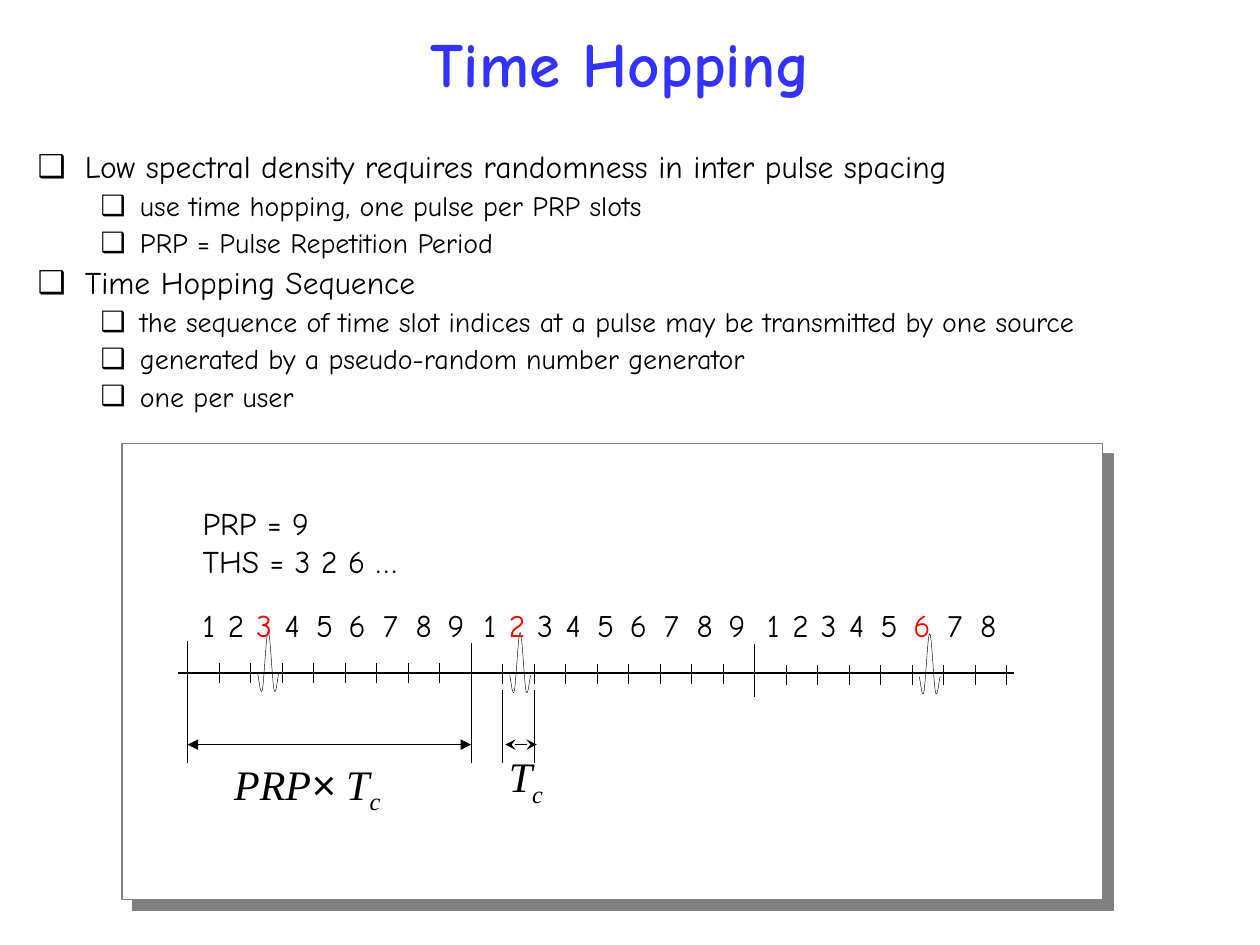
from dataclasses import dataclass

from lxml import etree
from pptx import Presentation
from pptx.dml.color import RGBColor
from pptx.enum.dml import MSO_LINE
from pptx.enum.shapes import MSO_CONNECTOR, MSO_SHAPE
from pptx.enum.text import MSO_ANCHOR, MSO_AUTO_SIZE, PP_ALIGN
from pptx.oxml.ns import qn
from pptx.util import Pt

STRAIGHT = MSO_CONNECTOR.STRAIGHT
RECTANGLE = MSO_SHAPE.RECTANGLE
DOTTED = MSO_LINE.ROUND_DOT
MIDDLE = MSO_ANCHOR.MIDDLE
CENTER = PP_ALIGN.CENTER
LEFT = PP_ALIGN.LEFT
FIT_SHAPE = MSO_AUTO_SIZE.SHAPE_TO_FIT_TEXT


@dataclass(frozen=True)
class Theme:
    ink: str = "000000"
    title: str = "3333FF"
    pulse: str = "FF0000"
    paper: str = "FFFFFF"
    frame: str = "808080"
    body_font: str = "Comic Neue"
    math_font: str = "Times New Roman"
    symbol_font: str = "Arial"
    title_size: float = 36
    math_size: float = 24
    body_size: float = 18
    sub_size: float = 16
    thin: float = 0.75
    hair: float = 0.25


@dataclass(frozen=True)
class Bullet:
    text: str
    level: int = 0


@dataclass(frozen=True)
class BulletStyle:
    size: float
    margin: float
    hang: float
    space_before: float


@dataclass(frozen=True)
class Period:
    """One pulse repetition period on the time axis."""
    start: float
    digits_left: float
    drop: float
    hop: int
    last_digit: int


THEME = Theme()
SLOT = 18
AXIS_Y = 384.5
BULLETS = [
    Bullet("Low spectral density requires randomness in inter pulse spacing"),
    Bullet("use time hopping, one pulse per PRP slots", 1),
    Bullet("PRP = Pulse Repetition Period", 1),
    Bullet("Time Hopping Sequence"),
    Bullet("the sequence of time slot indices at a pulse may be transmitted by one source", 1),
    Bullet("generated by a pseudo-random number generator", 1),
    Bullet("one per user", 1),
]
BULLET_STYLES = [BulletStyle(THEME.body_size, 27, 27, 4.5),
                 BulletStyle(THEME.sub_size, 58.5, 22.5, 4)]
PERIODS = [Period(107.25, 108.7, 0, 3, 9),
           Period(269.25, 269.3, 0.7, 2, 9),
           Period(431.25, 431.3, 1.4, 6, 8)]
DIGIT_OFFSETS = [0, 14.4, 30.6, 46.8, 64.8, 83.5, 103, 121.7, 140]
# Cubic segments of a pulse, relative to its upper left corner
PULSE_CURVES = [
    [(0, 24.5), (0.6, 25.9), (1.5, 37.4), (2.6, 33.8)],
    [(2.6, 33.8), (3.7, 29.5), (4.8, 0), (6, 0)],
    [(6, 0), (7.2, 0), (8.3, 29.5), (9.4, 33.8)],
    [(9.4, 33.8), (10.5, 37.4), (11.4, 25.9), (12, 24.5)],
]


def write_text(paragraph, text: str, *, size: float = THEME.body_size,
               font: str = THEME.body_font, color: str = THEME.ink,
               bold: bool = False, italic: bool = False, subscript: bool = False) -> None:
    for index, line in enumerate(text.split("\n")):
        if index:
            paragraph.add_line_break()
        run = paragraph.add_run()
        run.text = line
        run.font.size, run.font.name = Pt(size), font
        run.font.bold, run.font.italic = bold, italic
        run.font.color.rgb = RGBColor.from_string(color)
        if subscript:
            run.font._element.set("baseline", "-25000")


def add_label(slide, left: float, top: float, width: float, height: float,
              wrap: bool = False):
    frame = slide.shapes.add_textbox(Pt(left), Pt(top), Pt(width), Pt(height)).text_frame
    frame.word_wrap = wrap
    frame.auto_size = FIT_SHAPE
    return frame.paragraphs[0]


def add_line(slide, x1: float, y1: float, x2: float, y2: float, *,
             width: float = THEME.thin, dash=None, arrows: str = "") -> None:
    connector = slide.shapes.add_connector(STRAIGHT, Pt(x1), Pt(y1), Pt(x2), Pt(y2))
    connector.line.color.rgb = RGBColor.from_string(THEME.ink)
    connector.line.width = Pt(width)
    if dash is not None:
        connector.line.dash_style = dash
    if arrows:
        for end in ("a:headEnd", "a:tailEnd"):
            etree.SubElement(connector.line._get_or_add_ln(), qn(end), type=arrows)
    etree.SubElement(connector._element.spPr, qn("a:effectLst"))


def add_bullet(paragraph, bullet: Bullet) -> None:
    style = BULLET_STYLES[bullet.level]
    paragraph.level = bullet.level
    paragraph.line_spacing = 0.9
    paragraph.space_before = Pt(style.space_before)
    properties = paragraph._p.get_or_add_pPr()
    properties.set("marL", str(Pt(style.margin)))
    properties.set("indent", str(-Pt(style.hang)))
    bullet_color = etree.SubElement(properties, qn("a:buClr"))
    etree.SubElement(bullet_color, qn("a:srgbClr"), val=THEME.ink)
    etree.SubElement(properties, qn("a:buFont"), typeface=THEME.symbol_font)
    etree.SubElement(properties, qn("a:buChar"), char="❑")
    write_text(paragraph, bullet.text, size=style.size)


def add_panel(slide) -> None:
    panel = slide.shapes.add_shape(RECTANGLE, Pt(69.8), Pt(253.4), Pt(560.2), Pt(260.6))
    panel.fill.solid()
    panel.fill.fore_color.rgb = RGBColor.from_string(THEME.paper)
    panel.line.color.rgb = RGBColor.from_string(THEME.frame)
    panel.line.width = Pt(THEME.thin)
    panel.shadow.inherit = False
    effects = panel._element.spPr.find(qn("a:effectLst"))
    shadow = etree.SubElement(effects, qn("a:outerShdw"), blurRad="0",
                              dist=str(Pt(8.5)), dir="2700000", algn="ctr", rotWithShape="0")
    etree.SubElement(shadow, qn("a:srgbClr"), val=THEME.frame)


def curve_point(curve: list, t: float) -> tuple:
    weights = ((1 - t) ** 3, 3 * t * (1 - t) ** 2, 3 * t * t * (1 - t), t ** 3)
    return tuple(sum(w * p[axis] for w, p in zip(weights, curve)) for axis in (0, 1))


def add_pulse(slide, left: float, top: float) -> None:
    steps = 10
    points = [curve_point(curve, step / steps)
              for curve in PULSE_CURVES for step in range(1, steps + 1)]
    start, *rest = [(Pt(left + x), Pt(top + y)) for x, y in [PULSE_CURVES[0][0], *points]]
    builder = slide.shapes.build_freeform(*start)
    builder.add_line_segments(rest, close=False)
    pulse = builder.convert_to_shape()
    pulse.fill.background()
    pulse.line.color.rgb = RGBColor.from_string(THEME.ink)
    pulse.line.width = Pt(THEME.hair)
    pulse.shadow.inherit = False


def add_period(slide, period: Period) -> None:
    # Ticks: a tall one at the start, short ones at the slot borders
    for slot in range(9):
        above, below = (5.8, 5.8) if slot else (18, 12.2)
        x, middle = period.start + slot * SLOT, AXIS_Y + period.drop
        add_line(slide, x, middle - above, x, middle + below)
    add_pulse(slide, period.start + (period.hop - 1) * SLOT + 4, 360.7 + period.drop)
    # Slot numbers, with the chosen slot in the pulse colour
    for digit in range(1, period.last_digit + 1):
        label = add_label(slide, period.digits_left + DIGIT_OFFSETS[digit - 1], 342.7,
                          21.6 if digit == 1 else 23.5, 28.8)
        write_text(label, str(digit),
                   color=THEME.pulse if digit == period.hop else THEME.ink)


def main() -> None:
    deck = Presentation()
    deck.slide_width, deck.slide_height = Pt(720), Pt(540)
    slide = deck.slides.add_slide(deck.slide_layouts[5])
    add_panel(slide)

    # Title
    title = slide.shapes.title
    title.left, title.top, title.width, title.height = Pt(8.6), Pt(0), Pt(692), Pt(71.3)
    title.text_frame.vertical_anchor = MIDDLE
    heading = title.text_frame.paragraphs[0]
    heading.alignment = CENTER
    write_text(heading, "Time Hopping", size=THEME.title_size, color=THEME.title, bold=True)

    # Bulleted text
    outline = slide.shapes.add_textbox(Pt(14.4), Pt(82.8), Pt(697.7), Pt(157.7)).text_frame
    outline.word_wrap = True
    for index, bullet in enumerate(BULLETS):
        add_bullet(outline.add_paragraph() if index else outline.paragraphs[0], bullet)

    # Time axis with its three periods
    add_line(slide, 101.5, AXIS_Y, 579.6, AXIS_Y)
    for period in PERIODS:
        add_period(slide, period)

    # Dimensions of a period and of a slot
    first, second = PERIODS[0].start, PERIODS[1].start
    for x in (first, second, second + SLOT, second + 2 * SLOT):
        add_line(slide, x, 435.6, x, 393.8, width=THEME.hair, dash=DOTTED)
    add_line(slide, first, 425.5, second, 425.5, arrows="triangle")
    add_line(slide, second + SLOT + 1.5, 425.5, second + 2 * SLOT + 1.5, 425.5,
             width=THEME.hair, arrows="stealth")

    # Formulas and parameters
    math = {"size": THEME.math_size, "font": THEME.math_font, "italic": True}
    period_length = add_label(slide, 126.7, 429.8, 106.6, 40.3, wrap=True)
    write_text(period_length, "PRP", **math)
    write_text(period_length, "×", **{**math, "font": THEME.symbol_font})
    write_text(period_length, " T", **math)
    slot_length = add_label(slide, 283.7, 425.5, 33.8, 40.3)
    write_text(slot_length, "T", **math)
    for formula in (period_length, slot_length):
        formula.alignment = LEFT
        write_text(formula, "c", subscript=True, **math)
    write_text(add_label(slide, 108.7, 284.4, 125.3, 50.4), "PRP = 9\nTHS = 3 2 6 …")

    deck.save("out.pptx")


if __name__ == "__main__":
    main()
